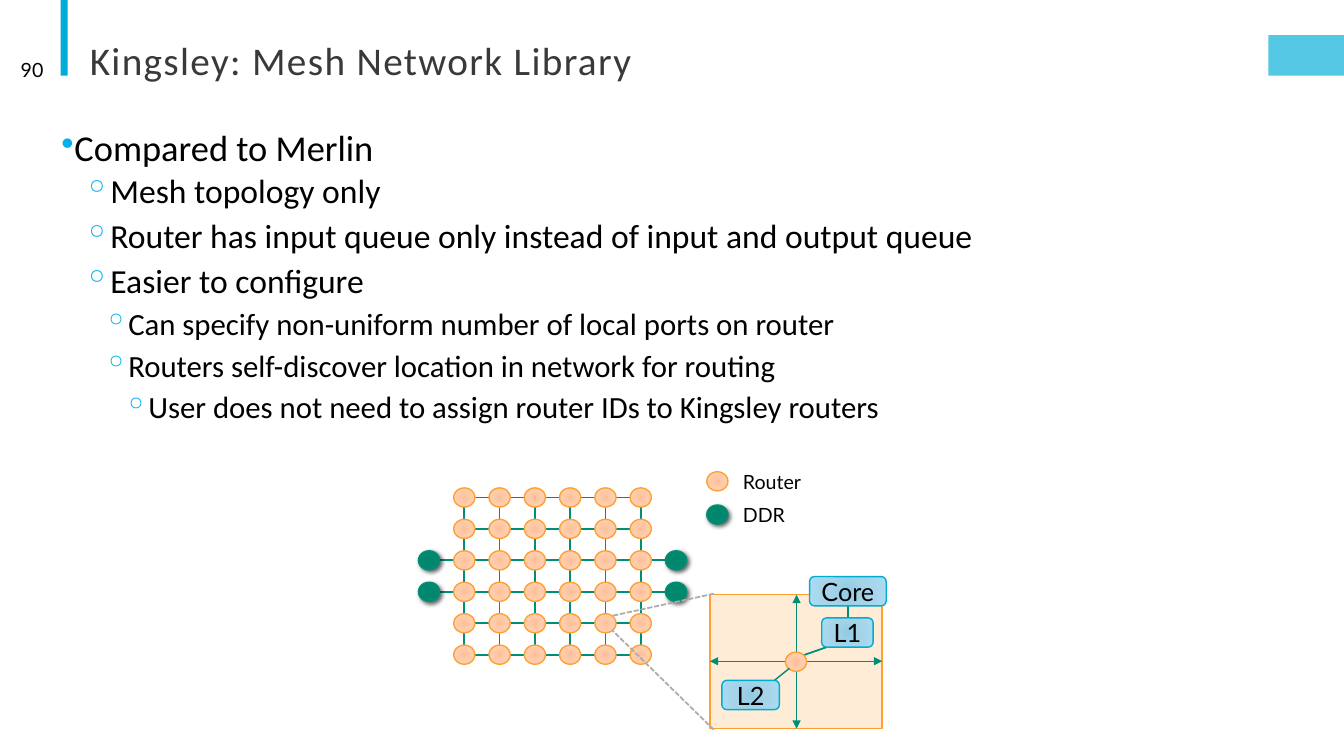
from lxml import etree
from pptx import Presentation
from pptx.dml.color import RGBColor
from pptx.enum.dml import MSO_LINE
from pptx.enum.shapes import MSO_CONNECTOR, MSO_SHAPE
from pptx.enum.text import MSO_ANCHOR, PP_ALIGN
from pptx.oxml.ns import qn
from pptx.util import Inches, Pt

OVAL, RECT, ROUNDED = MSO_SHAPE.OVAL, MSO_SHAPE.RECTANGLE, MSO_SHAPE.ROUNDED_RECTANGLE
STRAIGHT, DASH = MSO_CONNECTOR.STRAIGHT, MSO_LINE.SQUARE_DOT
MIDDLE, BOTTOM = MSO_ANCHOR.MIDDLE, MSO_ANCHOR.BOTTOM
LEFT, CENTER, RIGHT, JUSTIFY = PP_ALIGN.LEFT, PP_ALIGN.CENTER, PP_ALIGN.RIGHT, PP_ALIGN.JUSTIFY

COLORS = {"accent": "00ACD9", "title": "3B3838", "text": "000000", "bullet": "00B0F0",
          "link": "008E74", "zoom": "AFABAB", "tile": "FFECD6",
          "router": "FFA033", "ddr": "008E74", "unit": "00ADD0"}
GRADIENTS = {
    "router": [(0, "FFBF96"), (45, "FFCCAC"), (100, "FFD2B7")],
    "ddr": [(0, "00846C"), (34, "00866D"), (70, "00886F"), (100, "008E74")],
    "unit": [(0, "92CBE3"), (45, "A5D4E9"), (100, "AADBF1")],
}
RGB = {name: RGBColor.from_string(value) for name, value in COLORS.items()}
NODE_WIDTH, NODE_HEIGHT = 0.21, 0.19

deck = Presentation()
deck.slide_width, deck.slide_height = Inches(13.33), Inches(7.5)
page = deck.slides.add_slide(deck.slide_layouts[5])


def add_part(kind, left, top, width, height, role):
    """Add a mesh part with the radial gradient and outline of its role."""
    part = page.shapes.add_shape(kind, Inches(left), Inches(top), Inches(width), Inches(height))
    part.shadow.inherit = False
    part.fill.background()
    part.line.color.rgb = RGB[role]
    part.line.width = Pt(1)
    properties = part.element.spPr
    gradient = etree.Element(qn("a:gradFill"), rotWithShape="1")
    stops = etree.SubElement(gradient, qn("a:gsLst"))
    for position, color in GRADIENTS[role]:
        stop = etree.SubElement(stops, qn("a:gs"), pos=str(position * 1000))
        etree.SubElement(stop, qn("a:srgbClr"), val=color)
    shading = etree.SubElement(gradient, qn("a:path"), path="circle")
    etree.SubElement(shading, qn("a:fillToRect"), l="100000", t="100000", r="100000", b="100000")
    properties.replace(properties.find(qn("a:noFill")), gradient)
    if role == "ddr":
        shadow = etree.SubElement(properties.find(qn("a:effectLst")), qn("a:outerShdw"),
                                  blurRad=str(Pt(3)), dist=str(Pt(2)), dir="2700000")
        shade = etree.SubElement(shadow, qn("a:srgbClr"), val=COLORS["text"])
        etree.SubElement(shade, qn("a:alpha"), val="60000")
    return part


def add_line(x1, y1, x2, y2, color="link", width=1.25, arrows=False):
    line = page.shapes.add_connector(STRAIGHT, Inches(x1), Inches(y1), Inches(x2), Inches(y2))
    line.line.color.rgb = RGB[color]
    line.line.width = Pt(width)
    if color == "zoom":
        line.line.dash_style = DASH
    if arrows:
        for end in ("a:headEnd", "a:tailEnd"):
            etree.SubElement(line.line._get_or_add_ln(), qn(end), type="triangle")
    etree.SubElement(line.element.spPr, qn("a:effectLst"))


# Header
for left, top, width, height, turn in [(0.26, 0.34, 0.75, 0.07, 90), (12.58, 0.35, 0.75, 0.4, 0)]:
    bar = page.shapes.add_shape(RECT, Inches(left), Inches(top), Inches(width), Inches(height))
    bar.rotation = turn
    bar.shadow.inherit = False
    bar.fill.solid()
    bar.fill.fore_color.rgb = RGB["accent"]
    bar.line.fill.background()
bar_color = bar.element.spPr.find(qn("a:solidFill")).find(qn("a:srgbClr"))
etree.SubElement(bar_color, qn("a:alpha"), val="67000")

title = page.shapes.title
title.left, title.top, title.width, title.height = Inches(0.79), Inches(0.26), Inches(11), Inches(0.62)
title.text_frame.text = "Kingsley: Mesh Network Library"
title.text_frame.vertical_anchor = BOTTOM
para = title.text_frame.paragraphs[0]
para.alignment = LEFT
para.line_spacing = 0.85
span = para.runs[0]
span.font.size = Pt(28)
span.font.name = "Calibri"
span.font.color.rgb = RGB["title"]
span.font._element.set("spc", "100")

# Bullets
LEVELS = [(26, 0.1, -0.3, "•"), (24, 0.42, -0.2, "◦"), (22, 0.62, -0.2, "◦"), (22, 0.82, -0.2, "◦")]
BULLETS = [
    (0, "Compared to Merlin"),
    (1, "Mesh topology only"),
    (1, "Router has input queue only instead of input and output queue"),
    (1, "Easier to configure"),
    (2, "Can specify non-uniform number of local ports on router"),
    (2, "Routers self-discover location in network for routing"),
    (3, "User does not need to assign router IDs to Kingsley routers"),
]
body = page.shapes.add_textbox(Inches(0.61), Inches(1.24), Inches(12.12), Inches(5.63)).text_frame
body.word_wrap = True
body.margin_left = body.margin_right = 0
body.text = "\n".join(text for level, text in BULLETS)
for para, (level, text) in zip(body.paragraphs, BULLETS):
    size, margin, indent, mark = LEVELS[level]
    para.level = level
    para.alignment = JUSTIFY
    para.line_spacing = 0.9
    para.space_before = Pt(2 if level else 0)
    para.space_after = Pt(4 if level else 2)
    settings = para._p.get_or_add_pPr()
    settings.set("marL", str(Inches(margin)))
    settings.set("indent", str(Inches(indent)))
    bullet_color = etree.SubElement(settings, qn("a:buClr"))
    etree.SubElement(bullet_color, qn("a:srgbClr"), val=COLORS["bullet"])
    etree.SubElement(settings, qn("a:buChar"), char=mark)
    font = para.runs[0].font
    font.size = Pt(size)
    font.name = "Calibri"
    font.color.rgb = RGB["text"]

# Mesh of routers, with memory on both ends of the two middle rows
COUNT, MESH_LEFT, MESH_TOP = 6, 4.5, 4.84
MESH_RIGHT, MESH_BOTTOM = 6.46, 6.59
DDR_ROWS, DDR_COLUMNS = (2, 3), (4.15, 6.6)
columns = [MESH_LEFT + 0.35 * index for index in range(COUNT)]
rows = [MESH_TOP + 1.56 / 5 * index for index in range(COUNT)]
for index, top in enumerate(rows):
    reach = 0.14 if index in DDR_ROWS else 0
    middle = top + NODE_HEIGHT / 2
    add_line(MESH_RIGHT + reach, middle, MESH_LEFT - reach, middle)
for left in columns:
    middle = left + NODE_WIDTH / 2
    add_line(middle, MESH_TOP, middle, MESH_BOTTOM)
for index in DDR_ROWS:
    for left in DDR_COLUMNS:
        add_part(OVAL, left, rows[index], NODE_WIDTH, NODE_HEIGHT, "ddr")
for left in columns:
    for top in rows:
        add_part(OVAL, left, top, NODE_WIDTH, NODE_HEIGHT, "router")

# Legend and page number
for role, top in [("router", 4.68), ("ddr", 5.01)]:
    add_part(OVAL, 7.01, top, NODE_WIDTH, NODE_HEIGHT, role)
for text, left, top, width, height, alignment in [
        ("90", 0.07, 0.49, 0.46, 0.4, RIGHT),
        ("Router", 7.27, 4.61, 0.84, 0.34, LEFT),
        ("DDR", 7.27, 4.94, 0.66, 0.34, LEFT)]:
    label = page.shapes.add_textbox(Inches(left), Inches(top), Inches(width), Inches(height)).text_frame
    label.word_wrap = True
    label.vertical_anchor = MIDDLE
    label.text = text
    para = label.paragraphs[0]
    para.alignment = alignment
    para.runs[0].font.size = Pt(14)
    para.runs[0].font.name = "Lato"
    para.runs[0].font.color.rgb = RGB["text"]

# Enlarged tile
tile = page.shapes.add_shape(RECT, Inches(7.04), Inches(5.9), Inches(1.71), Inches(1.33))
tile.shadow.inherit = False
tile.fill.solid()
tile.fill.fore_color.rgb = RGB["tile"]
tile.line.color.rgb = RGB["router"]
tile.line.width = Pt(1)
add_line(8.2, 6.42, 7.97, 6.5)
add_line(8.41, 6.13, 8.41, 6.01)
add_line(7.08, 5.89, 6.07, 6.11, "zoom")
add_line(7.08, 7.24, 6.07, 6.25, "zoom")
add_line(7.04, 6.56, 8.75, 6.56, width=1, arrows=True)
add_line(7.9, 5.9, 7.9, 7.23, width=1, arrows=True)
add_part(OVAL, 7.79, 6.47, NODE_WIDTH, NODE_HEIGHT, "router")
add_line(7.83, 6.63, 7.68, 6.75, width=1)
for text, left, top, width in [("L2", 7.16, 6.75, 0.57), ("Core", 8.03, 5.72, 0.76), ("L1", 8.15, 6.13, 0.51)]:
    unit = add_part(ROUNDED, left, top, width, 0.29, "unit").text_frame
    unit.vertical_anchor = MIDDLE
    unit.text = text
    para = unit.paragraphs[0]
    para.alignment = CENTER
    para.runs[0].font.size = Pt(18)
    para.runs[0].font.name = "Lato"
    para.runs[0].font.color.rgb = RGB["text"]

deck.save("out.pptx")
